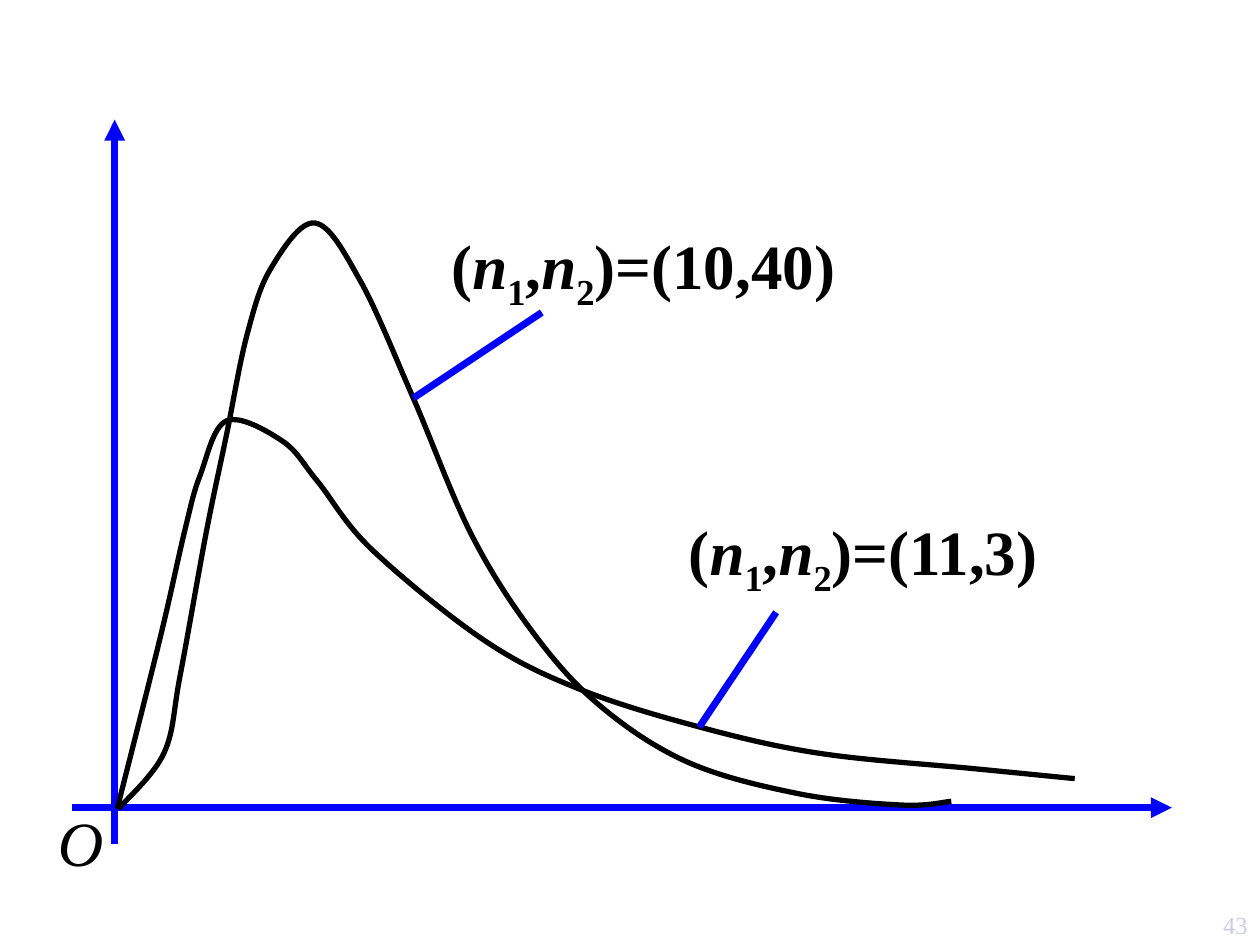
from collections import namedtuple
from pptx import Presentation, util as u
from pptx.dml.color import RGBColor
from pptx.enum import shapes, text
from pptx.oxml.ns import qn
from lxml import etree

BLUE = RGBColor(0, 0, 255)
BLACK = RGBColor(0, 0, 0)
PALE = RGBColor(0xCC, 0xCC, 0xE6)
FACE = "Times New Roman"
MID, RIGHT = text.PP_ALIGN.CENTER, text.PP_ALIGN.RIGHT

WIDE, HIGH = 10, 7.5
ZERO_X, ZERO_Y = 0.91, 6.41
LEFT, END = 0.57, 9.3
TOP, BASE = 0.95, 6.7
ROW = 0.7
UNIT = 1000

Curve = namedtuple("Curve", "knots touch tip label_at label_wide value")
CURVES = [
    Curve(knots=[(0.94, 6.42), (1.3, 5.98), (1.43, 5.36), (1.64, 4.21), (1.8, 3.44),
                 (1.96, 2.66), (2.15, 2.13), (2.5, 1.77), (2.86, 2.23), (3.28, 3.16),
                 (3.74, 4.24), (4.23, 5.02), (4.76, 5.6), (5.46, 6.05), (6.34, 6.3),
                 (7.16, 6.39), (7.55, 6.36)],
          touch=9, tip=(4.3, 2.48),
          label_at=(3.39, 1.75), label_wide=3.43, value="(10,40)"),
    Curve(knots=[(0.93, 6.42), (1.27, 5.07), (1.47, 4.2), (1.59, 3.77), (1.8, 3.34),
                 (2.24, 3.5), (2.52, 3.82), (2.95, 4.36), (3.84, 5.08), (4.6, 5.47),
                 (5.55, 5.77), (6.51, 5.98), (7.72, 6.1), (8.53, 6.18)],
          touch=10, tip=(6.16, 4.86),
          label_at=(5.18, 4.02), label_wide=3.34, value="(11,3)"),
]
PAIR = [("(", ""), ("n", "italic"), ("1", "sub"), (",", ""),
        ("n", "italic"), ("2", "sub"), (")=", "")]


def add_line(slide, start, end, arrow=False):
    line = slide.shapes.add_connector(
        shapes.MSO_CONNECTOR.STRAIGHT, *map(u.Inches, start + end))
    line.line.color.rgb = BLUE
    line.line.width = u.Pt(4)
    pr = line._element.spPr
    if arrow:
        etree.SubElement(pr.find(qn("a:ln")), qn("a:tailEnd"), type="triangle")
    etree.SubElement(pr, qn("a:effectLst"))


def to_units(point):
    return tuple(round(v * UNIT) for v in point)


def bend_points(knots):
    ends = [knots[0], *knots, knots[-1]]
    for before, start, end, after in zip(ends, ends[1:], ends[2:], ends[3:]):
        yield tuple(s + (e - b) / 6 for b, s, e in zip(before, start, end))
        yield tuple(e - (a - s) / 6 for s, e, a in zip(start, end, after))
        yield end


def add_curve(slide, knots):
    pen = slide.shapes.build_freeform(*to_units(knots[0]), scale=u.Inches(1) / UNIT)
    pen.add_line_segments(list(map(to_units, bend_points(knots))), close=False)
    curve = pen.convert_to_shape()
    curve.shadow.inherit = False
    curve.fill.background()
    curve.line.color.rgb = BLACK
    curve.line.width = u.Pt(3)
    track = next(curve._element.iter(qn("a:path")))
    steps = track.findall(qn("a:lnTo"))
    for i in range(0, len(steps), 3):
        bend = etree.SubElement(track, qn("a:cubicBezTo"))
        for step in steps[i:i + 3]:
            bend.append(step[0])
            track.remove(step)


def add_text(slide, area, runs, size=36, color=BLACK, align=MID, bold=False, wrap=True):
    box = slide.shapes.add_textbox(*map(u.Inches, area))
    box.text_frame.word_wrap = wrap
    para = box.text_frame.paragraphs[0]
    para.alignment = align
    para.font.name, para.font.size, para.font.bold = FACE, u.Pt(size), bold
    para.font.color.rgb = color
    for words, style in runs:
        run = para.add_run()
        run.text = words
        if style == "italic":
            run.font.italic = True
        elif style == "sub":
            run._r.get_or_add_rPr().set("baseline", "-25000")


def main():
    deck = Presentation()
    deck.slide_width, deck.slide_height = u.Inches(WIDE), u.Inches(HIGH)
    slide = deck.slides.add_slide(deck.slide_layouts[6])

    wide, high = 0.67, 0.33
    add_text(slide, (WIDE - wide, HIGH - high, wide, high), [("43", "")],
             size=14, color=PALE, align=RIGHT)
    add_line(slide, (LEFT, ZERO_Y), (END, ZERO_Y), arrow=True)
    add_line(slide, (ZERO_X, BASE), (ZERO_X, TOP), arrow=True)
    for curve in CURVES:
        add_curve(slide, curve.knots)
    for curve in CURVES:
        add_text(slide, (*curve.label_at, curve.label_wide, ROW),
                 PAIR + [(curve.value, "")], bold=True)
        add_line(slide, curve.knots[curve.touch], curve.tip)
    add_text(slide, (0.36, 6.33, 0.56, ROW), [("O", "italic")], wrap=False)

    deck.save("out.pptx")


if __name__ == "__main__":
    main()
